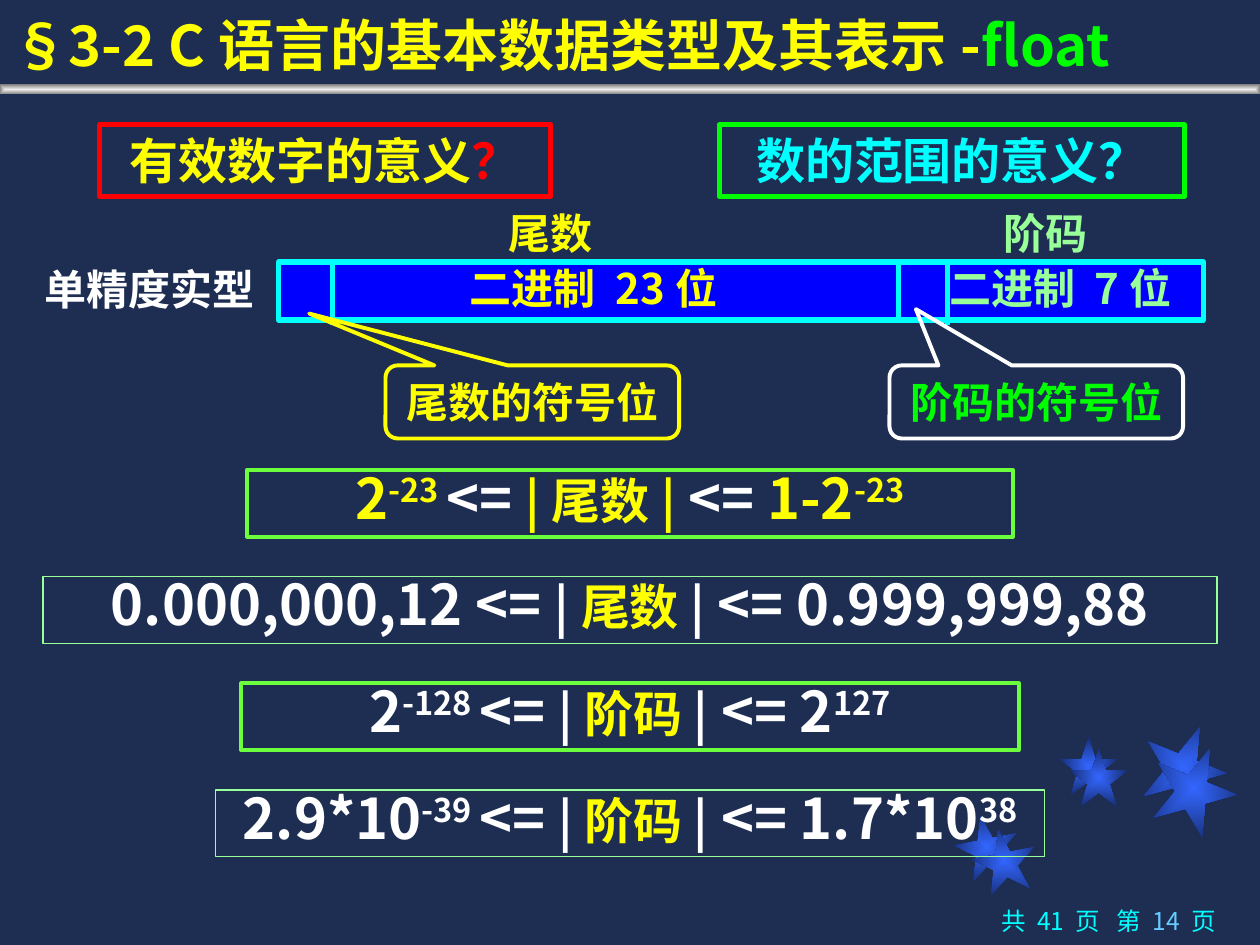
import pptx
import pptx.util
import pptx.dml.color
import pptx.enum.shapes
import pptx.enum.text
import pptx.oxml
import pptx.oxml.ns
from lxml import etree

RGBColor = pptx.dml.color.RGBColor
SHAPE = pptx.enum.shapes.MSO_SHAPE
ALIGN = pptx.enum.text.PP_ALIGN
ANCHOR = pptx.enum.text.MSO_ANCHOR
AUTO_SIZE = pptx.enum.text.MSO_AUTO_SIZE

NAVY = RGBColor(0x1E, 0x2E, 0x53)
BLUE = RGBColor(0x00, 0x00, 0xFF)
CYAN = RGBColor(0x00, 0xFF, 0xFF)
SKY = RGBColor(0x66, 0xCC, 0xFF)
YELLOW = RGBColor(0xFF, 0xFF, 0x00)
RED = RGBColor(0xFF, 0x00, 0x00)
WHITE = RGBColor(0xFF, 0xFF, 0xFF)
GREEN = RGBColor(0x00, 0xFF, 0x00)
LIME = RGBColor(0x6B, 0xFF, 0x3D)
MINT = RGBColor(0x99, 0xFF, 0x99)
STAR_COLORS = (RGBColor(0x33, 0x66, 0xFF), RGBColor(0x18, 0x2F, 0x76))
BAR_COLORS = (RGBColor(0xED, 0xED, 0xED), RGBColor(0x80, 0x80, 0x80))

SANS = "Noto Sans CJK SC"
SERIF = "Times New Roman"
WIDTH = pptx.util.Inches(10)
HEIGHT = pptx.util.Inches(7.5)
COLUMNS = 100
ROWS = 75


def grid(left, top, width, height):
    return [
        round(left * WIDTH / COLUMNS),
        round(top * HEIGHT / ROWS),
        round(width * WIDTH / COLUMNS),
        round(height * HEIGHT / ROWS),
    ]


def apply(target, values):
    for name, value in values.items():
        setattr(target, name, value)


def add_run(paragraph, text, color, size, font=SANS, bold=True, superscript=False, spacing=0):
    run = paragraph.add_run()
    run.text = text
    apply(run.font, {"name": font, "size": pptx.util.Pt(size), "bold": bold})
    run.font.color.rgb = color
    properties = run.font._element
    east_asian = etree.SubElement(properties, pptx.oxml.ns.qn("a:ea"))
    east_asian.set("typeface", SANS)
    if superscript:
        properties.set("baseline", "30000")
    if spacing:
        properties.set("spc", str(spacing))


def write(shape, runs, frame_format=None, paragraph_format=None):
    frame = shape.text_frame
    apply(frame, {"word_wrap": True, "auto_size": AUTO_SIZE.NONE, "vertical_anchor": ANCHOR.TOP})
    apply(frame, frame_format or {})
    paragraph = frame.paragraphs[0]
    apply(paragraph, {"alignment": ALIGN.CENTER, **(paragraph_format or {})})
    for run in runs:
        add_run(paragraph, **run)


def add_plain_shape(slide, kind, place, fill=None, line=None, line_width=3):
    shape = slide.shapes.add_shape(kind, *grid(*place))
    shape.shadow.inherit = False
    if fill is None:
        shape.fill.background()
    else:
        shape.fill.solid()
        shape.fill.fore_color.rgb = fill
    if line is None:
        shape.line.fill.background()
    else:
        shape.line.color.rgb = line
        shape.line.width = pptx.util.Pt(line_width)
    return shape


def add_glowing_shape(slide, kind, place, colors, rotation=0):
    shape = add_plain_shape(slide, kind, place)
    shape.rotation = rotation
    shape.fill.gradient()
    for stop, color in zip(shape.fill.gradient_stops, colors):
        stop.color.rgb = color
    gradient = shape._element.spPr.find(pptx.oxml.ns.qn("a:gradFill"))
    linear = gradient.find(pptx.oxml.ns.qn("a:lin"))
    path = pptx.oxml.parse_xml(
        f'<a:path {pptx.oxml.ns.nsdecls("a")} path="rect">'
        '<a:fillToRect l="50000" t="50000" r="50000" b="50000"/></a:path>'
    )
    gradient.replace(linear, path)


def add_star_pair(slide, left, top, size, shift_x, shift_y, rotation):
    for step in range(2):
        place = (left + step * shift_x, top + step * shift_y, size, size)
        add_glowing_shape(slide, SHAPE.STAR_5_POINT, place, STAR_COLORS, rotation)


def add_box(slide, place, runs, line, line_width=3, fill=None, spacing=1.0, inset=0.1):
    box = add_plain_shape(slide, SHAPE.RECTANGLE, place, fill, line, line_width)
    frame_format = {"auto_size": AUTO_SIZE.SHAPE_TO_FIT_TEXT, "margin_left": pptx.util.Inches(inset)}
    write(box, runs, frame_format, {"line_spacing": spacing})


def add_label(slide, place, text, color):
    label = slide.shapes.add_textbox(*grid(*place))
    runs = [{"text": text, "color": color, "size": 24, "font": SERIF}]
    write(label, runs, {"margin_left": 0, "margin_right": 0})


def add_divider(slide, column, top, height):
    x, y, _, length = grid(column, top, 0, height)
    divider = slide.shapes.add_connector(pptx.enum.shapes.MSO_CONNECTOR.STRAIGHT, x, y, x, y + length)
    divider.line.color.rgb = CYAN
    divider.line.width = pptx.util.Pt(3)
    etree.SubElement(divider._element.spPr, pptx.oxml.ns.qn("a:effectLst"))


def add_callout(slide, left, tip, text, line, color):
    callout = add_plain_shape(
        slide, SHAPE.ROUNDED_RECTANGULAR_CALLOUT, (left, 29, 23.3, 5.8), None, line, 2.25
    )
    for index, value in enumerate(tip):
        callout.adjustments[index] = value
    runs = [{"text": text, "color": color, "size": 24, "font": SERIF}]
    write(callout, runs, {"word_wrap": False, "vertical_anchor": ANCHOR.MIDDLE})


def add_inequality(slide, index, width, low, variable, high, line, line_width, bound=WHITE):
    pieces = [
        (low[0], bound, 32, False),
        (low[1], bound, 32, True),
        ("<= ", WHITE, 32, False),
        ("|", bound, 28, False),
        (variable, YELLOW, 28, False),
        ("|", bound, 28, False),
        (" <= ", WHITE, 32, False),
        (high[0], bound, 32, False),
        (high[1], bound, 32, True),
    ]
    names = ("text", "color", "size", "superscript")
    runs = [dict(zip(names, piece)) for piece in pieces if piece[0]]
    place = ((COLUMNS - width) / 2, 37.3 + 8.47 * index, width, 5.3)
    add_box(slide, place, runs, line, line_width, spacing=0.8)


def add_title(slide):
    title = slide.shapes.title
    apply(title, dict(zip(("left", "top", "width", "height"), grid(0, 0, COLUMNS, 6.7))))
    runs = [
        {"text": "§3-2 C语言的基本数据类型及其表示-", "color": YELLOW, "size": 32},
        {"text": "float", "color": GREEN, "size": 32},
    ]
    write(title, runs, {"vertical_anchor": ANCHOR.BOTTOM}, {"alignment": ALIGN.LEFT})


def add_page_number(slide):
    footer = slide.shapes.add_textbox(*grid(71.2, 71.4, 26.3, 3.6))
    pieces = [("共 41 页", CYAN, 0), (" ", CYAN, 630), ("第 ", CYAN, 0), ("14 ", SKY, 0), ("页", CYAN, 0)]
    runs = [
        {"text": text, "color": color, "size": 14, "bold": False, "spacing": spacing}
        for text, color, spacing in pieces
    ]
    write(footer, runs, None, {"alignment": ALIGN.RIGHT})


def add_register(slide):
    cells = [
        (71.3, 24.2, "二进制 7位", MINT, 0.25),
        (22.1, 49.2, "二进制 23位", YELLOW, 0.18),
    ]
    for left, width, text, color, inset in cells:
        runs = [{"text": text, "color": color, "size": 24}]
        add_box(slide, (left, 20.8, width, 4.6), runs, CYAN, 3, BLUE, 0.9, inset)
    for column in (75.2, 26.4):
        add_divider(slide, column, 20.8, 5)
    add_label(slide, (2.6, 20.4, 18.6, 5), "单精度实型", WHITE)
    add_label(slide, (39.4, 16, 8.6, 5), "尾数", YELLOW)
    add_label(slide, (78.7, 16, 8.6, 5), "阶码", MINT)
    add_callout(slide, 30.6, (-0.76, -1.21), "尾数的符号位", YELLOW, YELLOW)
    add_callout(slide, 70.6, (-0.41, -1.27), "阶码的符号位", WHITE, GREEN)


def main():
    presentation = pptx.Presentation()
    apply(presentation, {"slide_width": WIDTH, "slide_height": HEIGHT})
    slide = presentation.slides.add_slide(presentation.slide_layouts[5])
    slide.background.fill.solid()
    slide.background.fill.fore_color.rgb = NAVY
    add_star_pair(slide, 75.8, 64.7, 5, 1.4, 1.1, 349)
    add_star_pair(slide, 84.1, 58.5, 4.6, 0.8, 0.9, 0)
    add_star_pair(slide, 90.6, 57.5, 6.7, 0.8, 1.7, 22)
    add_glowing_shape(slide, SHAPE.RECTANGLE, (0, 6.7, COLUMNS, 0.8), BAR_COLORS)
    add_title(slide)
    add_page_number(slide)
    digits = [
        {"text": "有效数字的意义", "color": YELLOW, "size": 28},
        {"text": "？", "color": RED, "size": 28},
    ]
    add_box(slide, (7.9, 9.9, 35.8, 5.7), digits, RED)
    value_range = [{"text": "数的范围的意义？", "color": CYAN, "size": 28}]
    add_box(slide, (57.1, 9.9, 36.9, 5.7), value_range, GREEN)
    add_register(slide)
    inequalities = [
        (60.8, ("2", "-23 "), "尾数", ("1-2", "-23"), LIME, 2.25, YELLOW),
        (93.2, ("0.000,000,12 ", ""), "尾数", ("0.999,999,88", ""), MINT, 0.75),
        (61.7, ("2", "-128 "), "阶码", ("2", "127"), LIME, 2.25),
        (65.8, ("2.9*10", "-39 "), "阶码", ("1.7*10", "38"), MINT, 0.75),
    ]
    for index, inequality in enumerate(inequalities):
        add_inequality(slide, index, *inequality)
    presentation.save("out.pptx")


if __name__ == "__main__":
    main()
